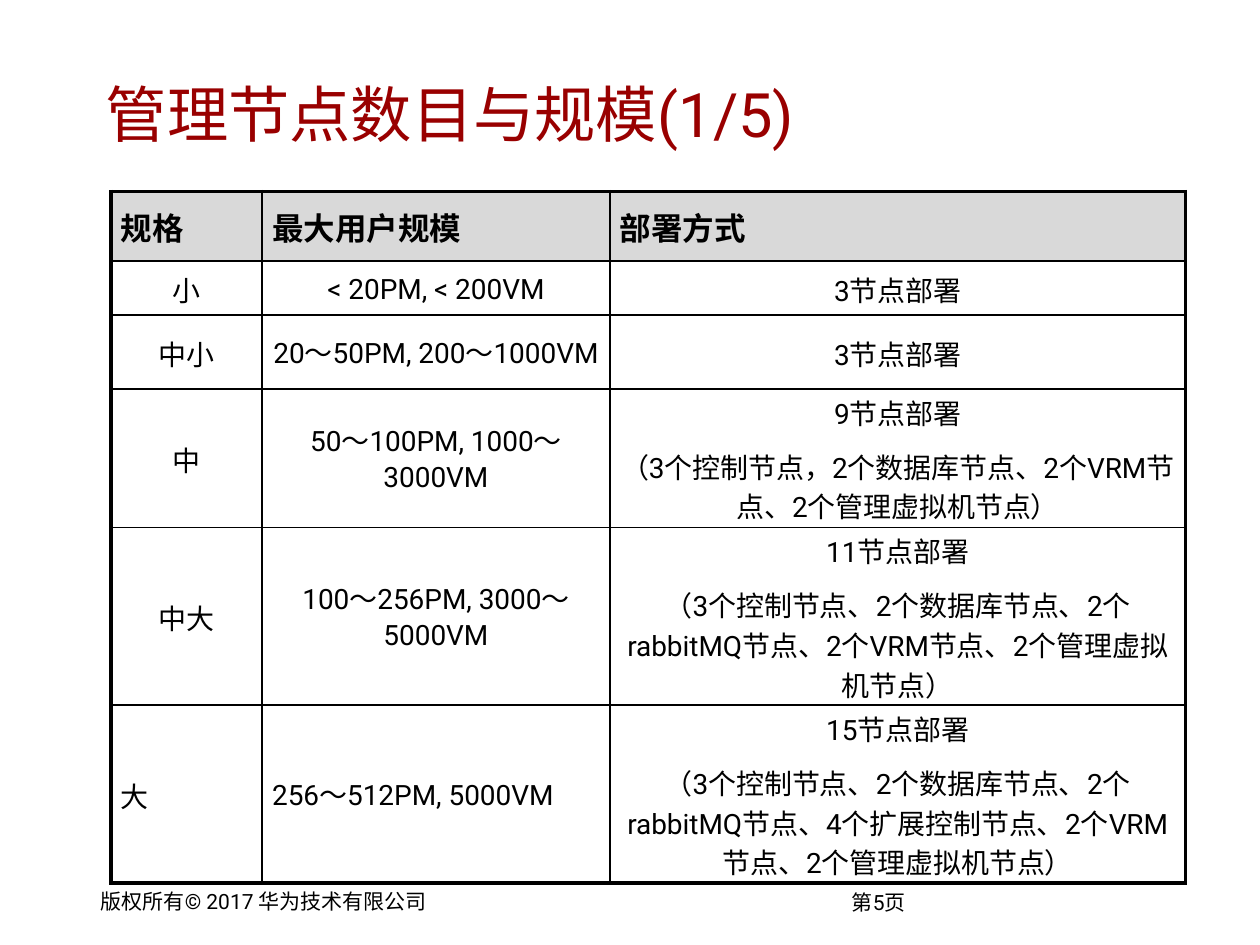
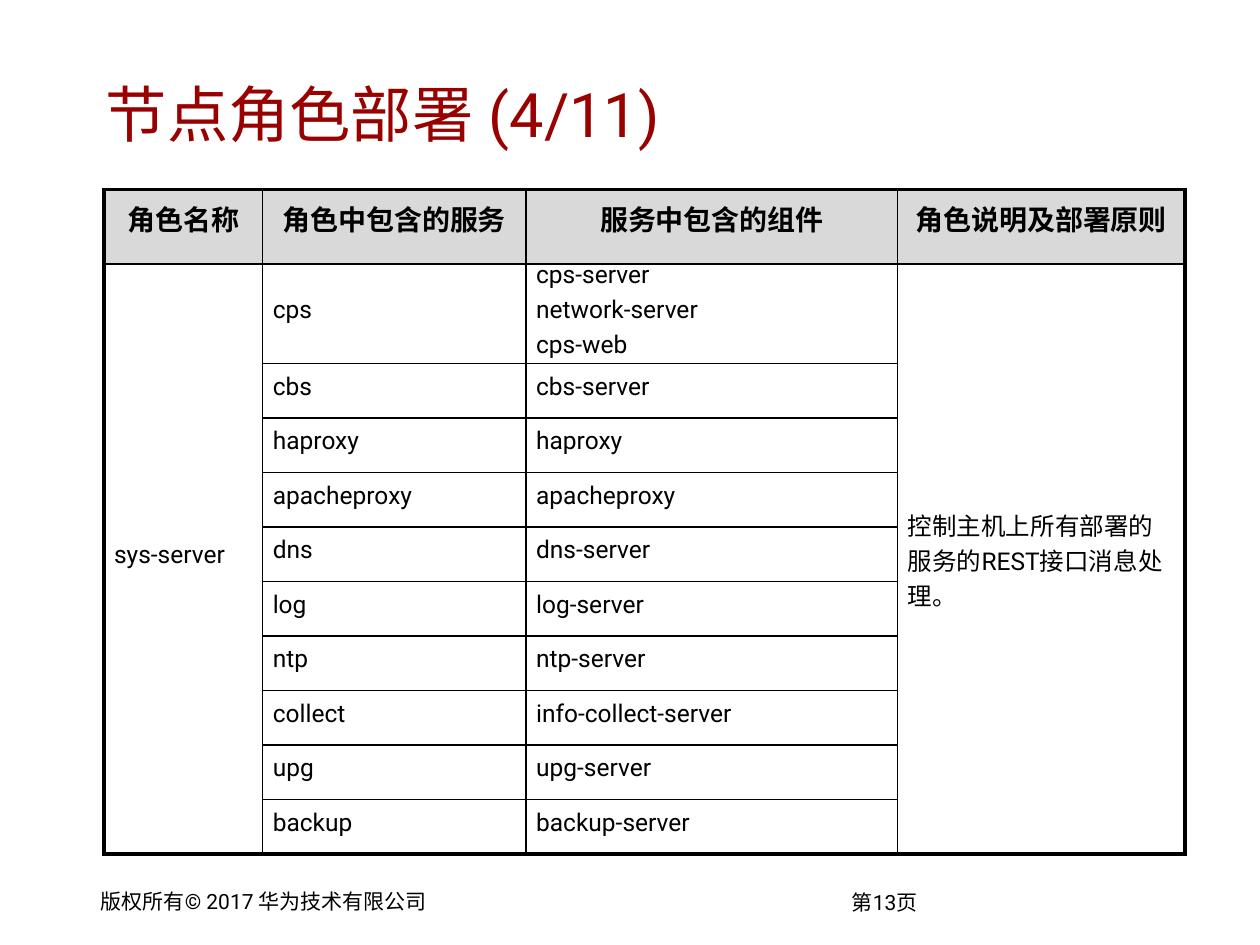
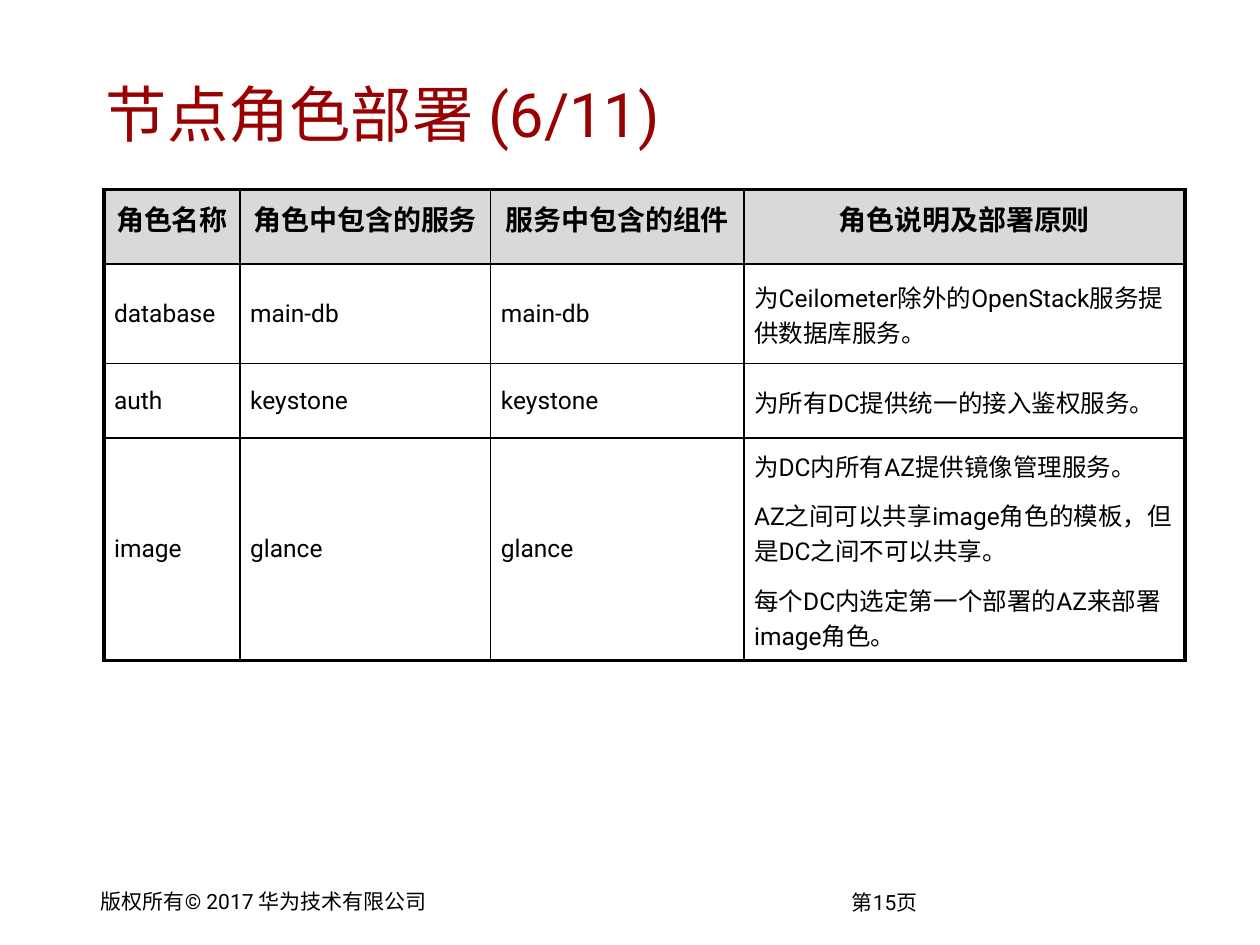
import pptx
import pptx.dml.color
import pptx.enum.lang
import pptx.enum.text
import pptx.oxml.ns
import pptx.util
import lxml.etree

WIDTH, HEIGHT = pptx.util.Inches(10), pptx.util.Inches(7.5)
GRID_COLUMNS, GRID_ROWS = 100, 75
COLORS = {"title": "990000", "ink": "000000", "header": "D9D9D9"}
FONT = "Roboto"
INNER_LINE, OUTER_LINE = 1, 2.25
ALIGN = pptx.enum.text.PP_ALIGN
MIDDLE = pptx.enum.text.MSO_ANCHOR.MIDDLE
TOP = pptx.enum.text.MSO_ANCHOR.TOP

TITLE_BOX = (7.5, 4.2, 86.6, 9.5)
COPYRIGHT_BOX = (7.1, 70.1, 27.9, 2.9)
PAGE_BOX = (66.7, 70.2, 7.2, 2.9)
COPYRIGHT = "版权所有© 2017 华为技术有限公司"

SPACED = {"space_before": pptx.util.Pt(4), "space_after": pptx.util.Pt(4)}
LEFT = {**SPACED, "alignment": ALIGN.LEFT}
CENTERED = {**SPACED, "alignment": ALIGN.CENTER}
JUSTIFIED = {**SPACED, "alignment": ALIGN.JUSTIFY}
TIGHT = {"line_spacing": pptx.util.Pt(12)}
OPEN = {"line_spacing": 1.1}
LOOSE = {"line_spacing": 1.22}
HANGING = pptx.util.Inches(0.2)

ROLE_HEADER = ["角色名称", "角色中包含的服务", "服务中包含的组件", "角色说明及部署原则"]
SERVICES = [
    ("cps", "cps-server\nnetwork-server\ncps-web"),
    ("cbs", "cbs-server"),
    ("haproxy", "haproxy"),
    ("apacheproxy", "apacheproxy"),
    ("dns", "dns-server"),
    ("log", "log-server"),
    ("ntp", "ntp-server"),
    ("collect", "info-collect-server"),
    ("upg", "upg-server"),
    ("backup", "backup-server"),
]

SCALE_TABLE = {
    "box": (8.8, 15.2),
    "columns": [12, 27.6, 45.7],
    "rows": [5.5, 4.3, 4.3, 11, 13.8, 13.8],
    "sizes": (18, 16),
    "header_format": {**JUSTIFIED, **LOOSE},
    "column_formats": [{**CENTERED, **LOOSE}, {**CENTERED, **OPEN},
                       {**CENTERED, **LOOSE}],
    "cell_formats": {(5, 0): {**LEFT, **LOOSE}, (5, 1): {**LEFT, **OPEN}},
    "cells": [
        ["规格", "最大用户规模", "部署方式"],
        ["小", "< 20PM, < 200VM", "3节点部署"],
        ["中小", "20～50PM, 200～1000VM", "3节点部署"],
        ["中", "50～100PM, 1000～3000VM",
         "9节点部署\n（3个控制节点，2个数据库节点、2个VRM节点、2个管理虚拟机节点）"],
        ["中大", "100～256PM, 3000～5000VM",
         "11节点部署\n（3个控制节点、2个数据库节点、2个rabbitMQ节点、2个VRM节点、"
         "2个管理虚拟机节点）"],
        ["大", "256～512PM, 5000VM",
         "15节点部署\n（3个控制节点、2个数据库节点、2个rabbitMQ节点、4个扩展控制节点、"
         "2个VRM节点、2个管理虚拟机节点）"],
    ],
}

ROLE_TABLE = {
    "box": (8.25, 15.05),
    "sizes": (16, 14),
    "header_format": {**CENTERED, **TIGHT},
}

SERVER_TABLE = {
    **ROLE_TABLE,
    "columns": [12.6, 20.9, 29.5, 22.8],
    "rows": [5.9, 7.9] + [4.33] * (len(SERVICES) - 1),
    "column_formats": [{**LEFT, **TIGHT}] * 3 + [{**LEFT, **LOOSE}],
    "hanging_cells": [(1, 2)],
    "merged_columns": [0, 3],
    "cells": [ROLE_HEADER] + [
        ["" if row else "sys-server", service, parts,
         "" if row else "控制主机上所有部署的服务的REST接口消息处理。"]
        for row, (service, parts) in enumerate(SERVICES)
    ],
}

DATABASE_TABLE = {
    **ROLE_TABLE,
    "columns": [10.8, 19.9, 20.1, 35],
    "rows": [5.9, 7.9, 5.9, 17.7],
    "column_formats": [LEFT] * 3 + [{**LEFT, **LOOSE}],
    "cells": [
        ROLE_HEADER,
        ["database", "main-db", "main-db",
         "为Ceilometer除外的OpenStack服务提供数据库服务。"],
        ["auth", "keystone", "keystone", "为所有DC提供统一的接入鉴权服务。"],
        ["image", "glance", "glance",
         "为DC内所有AZ提供镜像管理服务。\n"
         "AZ之间可以共享image角色的模板，但是DC之间不可以共享。\n"
         "每个DC内选定第一个部署的AZ来部署image角色。"],
    ],
}

SLIDES = [
    ("管理节点数目与规模(1/5)", 5, SCALE_TABLE),
    ("节点角色部署 (4/11)", 13, SERVER_TABLE),
    ("节点角色部署 (6/11)", 15, DATABASE_TABLE),
]


def across(columns):
    return round(WIDTH * columns / GRID_COLUMNS)


def down(rows):
    return round(HEIGHT * rows / GRID_ROWS)


def color(name):
    return pptx.dml.color.RGBColor.from_string(COLORS[name])


def apply(target, values):
    for name, value in values.items():
        setattr(target, name, value)


def add_child(parent, tag, **attributes):
    child = lxml.etree.SubElement(parent, pptx.oxml.ns.qn(tag))
    for name, value in attributes.items():
        child.set(name, str(value))
    return child


def hang(para):
    """Give a paragraph a hanging indent with a tab stop at its end."""
    properties = para._p.get_or_add_pPr()
    properties.set("marL", str(HANGING))
    properties.set("indent", str(-HANGING))
    add_child(add_child(properties, "a:tabLst"), "a:tab", pos=HANGING, algn="l")


def write(frame, text, size, ink="ink", bold=False, layout=None, hanging=False):
    """Fill a text frame with one paragraph for each line of text."""
    for number, line in enumerate(text.split("\n")):
        para = frame.add_paragraph() if number else frame.paragraphs[0]
        apply(para, layout or {})
        if hanging:
            hang(para)
        span = para.add_run()
        span.text = line
        apply(span.font, {
            "name": FONT, "size": pptx.util.Pt(size), "bold": bold,
            "language_id": pptx.enum.lang.MSO_LANGUAGE_ID.SIMPLIFIED_CHINESE,
        })
        span.font.color.rgb = color(ink)
        add_child(span._r.get_or_add_rPr(), "a:ea", typeface=FONT)


def add_text(page, box, text, size, ink="ink", anchor=TOP):
    left, top, width, height = box
    frame = page.shapes.add_textbox(
        across(left), down(top), across(width), down(height)).text_frame
    side, edge = pptx.util.Inches(0.09), pptx.util.Inches(0.04)
    apply(frame, {"word_wrap": True, "vertical_anchor": anchor,
                  "margin_left": side, "margin_right": side,
                  "margin_top": edge, "margin_bottom": edge})
    write(frame, text, size, ink)


def draw_borders(cell, row, column, last_row, last_column, merged):
    """Rule a cell: heavy on the table's outline, thin inside, none within a merge."""
    outer = {"L": column == 0, "R": column == last_column,
             "T": row == 0, "B": row == last_row or cell.is_merge_origin}
    for side, heavy in outer.items():
        if merged and (side == "T" and row > 1 or side == "B" and not heavy):
            continue
        points = OUTER_LINE if heavy else INNER_LINE
        line = add_child(cell._tc.get_or_add_tcPr(), "a:ln" + side,
                         w=pptx.util.Pt(points))
        add_child(add_child(line, "a:solidFill"), "a:srgbClr", val=COLORS["ink"])


def add_table(page, plan):
    left, top = plan["box"]
    columns, rows = plan["columns"], plan["rows"]
    table = page.shapes.add_table(
        len(rows), len(columns), across(left), down(top),
        across(sum(columns)), down(sum(rows))).table
    for column, width in zip(table.columns, columns):
        column.width = across(width)
    for row, height in zip(table.rows, rows):
        row.height = down(height)
    last_row, last_column = len(rows) - 1, len(columns) - 1
    merged_columns = plan.get("merged_columns", [])
    for column in merged_columns:
        table.cell(1, column).merge(table.cell(last_row, column))

    header_size, body_size = plan["sizes"]
    margin = pptx.util.Inches(0.08)
    for row, texts in enumerate(plan["cells"]):
        header = row == 0
        for column, text in enumerate(texts):
            cell = table.cell(row, column)
            apply(cell, {"vertical_anchor": MIDDLE,
                         "margin_left": margin, "margin_right": margin,
                         "margin_top": 0, "margin_bottom": 0})
            draw_borders(cell, row, column, last_row, last_column,
                         column in merged_columns and not header)
            if header:
                cell.fill.solid()
                cell.fill.fore_color.rgb = color("header")
            else:
                cell.fill.background()
            if text:
                place = (row, column)
                common = plan["header_format"] if header else plan["column_formats"][column]
                write(cell.text_frame, text, header_size if header else body_size,
                      bold=header,
                      layout=plan.get("cell_formats", {}).get(place, common),
                      hanging=place in plan.get("hanging_cells", []))


def add_table_slide(deck, title, number, plan):
    page = deck.slides.add_slide(deck.slide_layouts[6])
    add_text(page, PAGE_BOX, f"第{number}页", 12)
    add_text(page, COPYRIGHT_BOX, COPYRIGHT, 12)
    add_text(page, TITLE_BOX, title, 35, "title", MIDDLE)
    add_table(page, plan)


def main():
    deck = pptx.Presentation()
    apply(deck, {"slide_width": WIDTH, "slide_height": HEIGHT})
    for title, number, plan in SLIDES:
        add_table_slide(deck, title, number, plan)
    deck.save("out.pptx")


if __name__ == "__main__":
    main()
